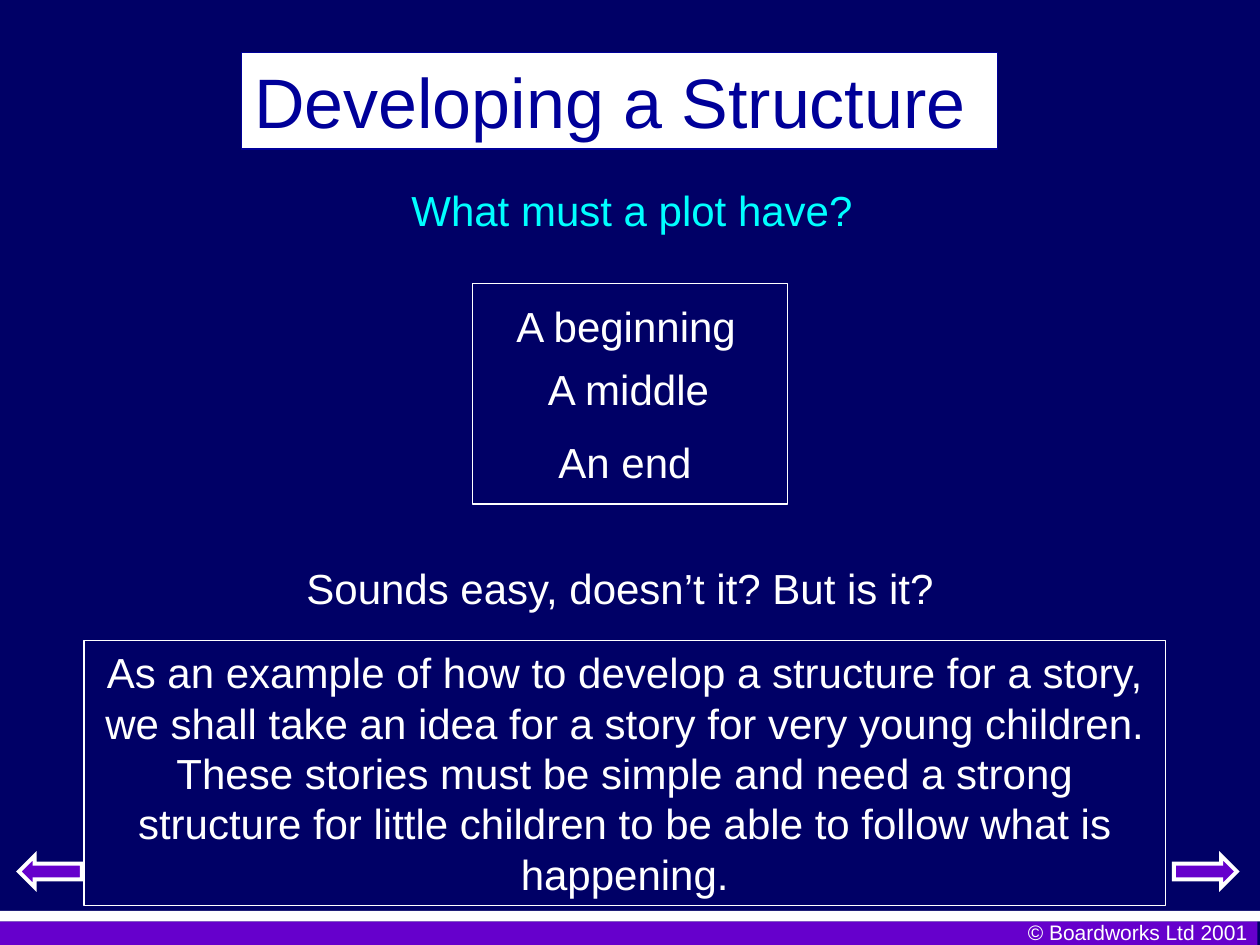
from lxml.etree import SubElement
from pptx import Presentation
from pptx.dml.color import RGBColor
from pptx.enum.shapes import MSO_SHAPE as Shape
from pptx.enum.text import MSO_ANCHOR as Anchor, MSO_AUTO_SIZE as AutoSize, PP_ALIGN as Align
from pptx.oxml.ns import qn
from pptx.util import Inches, Pt

COLUMNS, ROWS = 120, 90
WIDTH, HEIGHT = Inches(10), Inches(7.5)
NAVY, BLUE, PURPLE, CYAN, WHITE = "000066", "000099", "6600CC", "00FFFF", "FFFFFF"


def color(value):
    return RGBColor.from_string(value)


def grid(column, row, columns, rows):
    return (round(column * WIDTH / COLUMNS), round(row * HEIGHT / ROWS),
            round(columns * WIDTH / COLUMNS), round(rows * HEIGHT / ROWS))


def write(shape, text, size=24, ink=WHITE, align=Align.LEFT):
    frame = shape.text_frame
    frame.word_wrap = True
    frame.auto_size = AutoSize.NONE
    frame.vertical_anchor = Anchor.TOP
    paragraph = frame.paragraphs[0]
    paragraph.alignment = align
    run = paragraph.add_run()
    run.text = text
    run.font.name = "Arial"
    run.font.size = Pt(size)
    run.font.color.rgb = color(ink)


def paint(shape, fill=None, line=None, weight=0.75):
    if fill:
        shape.fill.solid()
        shape.fill.fore_color.rgb = color(fill)
    else:
        shape.fill.background()
    if line:
        shape.line.color.rgb = color(line)
        shape.line.width = Pt(weight)
    else:
        shape.line.fill.background()


def add_box(slide, place, kind=Shape.RECTANGLE, **style):
    shape = slide.shapes.add_shape(kind, *grid(*place))
    shape.shadow.inherit = False
    paint(shape, **style)
    return shape


def add_label(slide, text, place, **style):
    write(slide.shapes.add_textbox(*grid(*place)), text, **style)


def add_arrow(slide, column, rotation):
    arrow = add_box(slide, (column, 81.5, 6, 3), Shape.RIGHT_ARROW,
                    fill=PURPLE, line=WHITE, weight=2.25)
    arrow.rotation = rotation
    outline = arrow.element.spPr.find(qn("a:ln"))
    SubElement(outline, qn("a:miter"), lim="800000")


def add_title(slide, text, place):
    title = slide.shapes.title
    title.left, title.top, title.width, title.height = grid(*place)
    paint(title, fill=WHITE, line=BLUE, weight=1)
    write(title, text, size=40, ink=BLUE)


def add_footer(slide):
    add_box(slide, (-0.25, 87.75, COLUMNS, 2.25), fill=PURPLE)
    add_label(slide, "© Boardworks Ltd 2001", (92, 87, 28, 3.6), size=12, align=Align.RIGHT)
    add_box(slide, (0, 86.75, COLUMNS, 1), fill=WHITE)
    add_arrow(slide, 111.8, 0)
    add_arrow(slide, 1.8, 180)


def main():
    presentation = Presentation()
    presentation.slide_width, presentation.slide_height = WIDTH, HEIGHT
    slide = presentation.slides.add_slide(presentation.slide_layouts[5])
    slide.background.fill.solid()
    slide.background.fill.fore_color.rgb = color(NAVY)

    add_footer(slide)
    example = add_box(slide, (8, 61, 103, 25.25), line=WHITE)
    write(example, "As an example of how to develop a structure for a story, "
          "we shall take an idea for a story for very young children. "
          "These stories must be simple and need a strong structure for "
          "little children to be able to follow what is happening.",
          align=Align.CENTER)
    add_label(slide, "What must a plot have?", (38, 17, 45, 6), ink=CYAN)
    add_label(slide, "Sounds easy, doesn’t it? But is it?", (28, 53, 63, 6))
    add_box(slide, (45, 27, 30, 21), line=WHITE)
    for text, row, columns in (("A beginning", 28, 24), ("A middle", 34, 18), ("An end", 41, 16)):
        add_label(slide, text, ((COLUMNS - columns) / 2, row, columns, 6))
    add_title(slide, "Developing a Structure", (23, 5, 72, 9.2))

    presentation.save("out.pptx")


if __name__ == "__main__":
    main()
